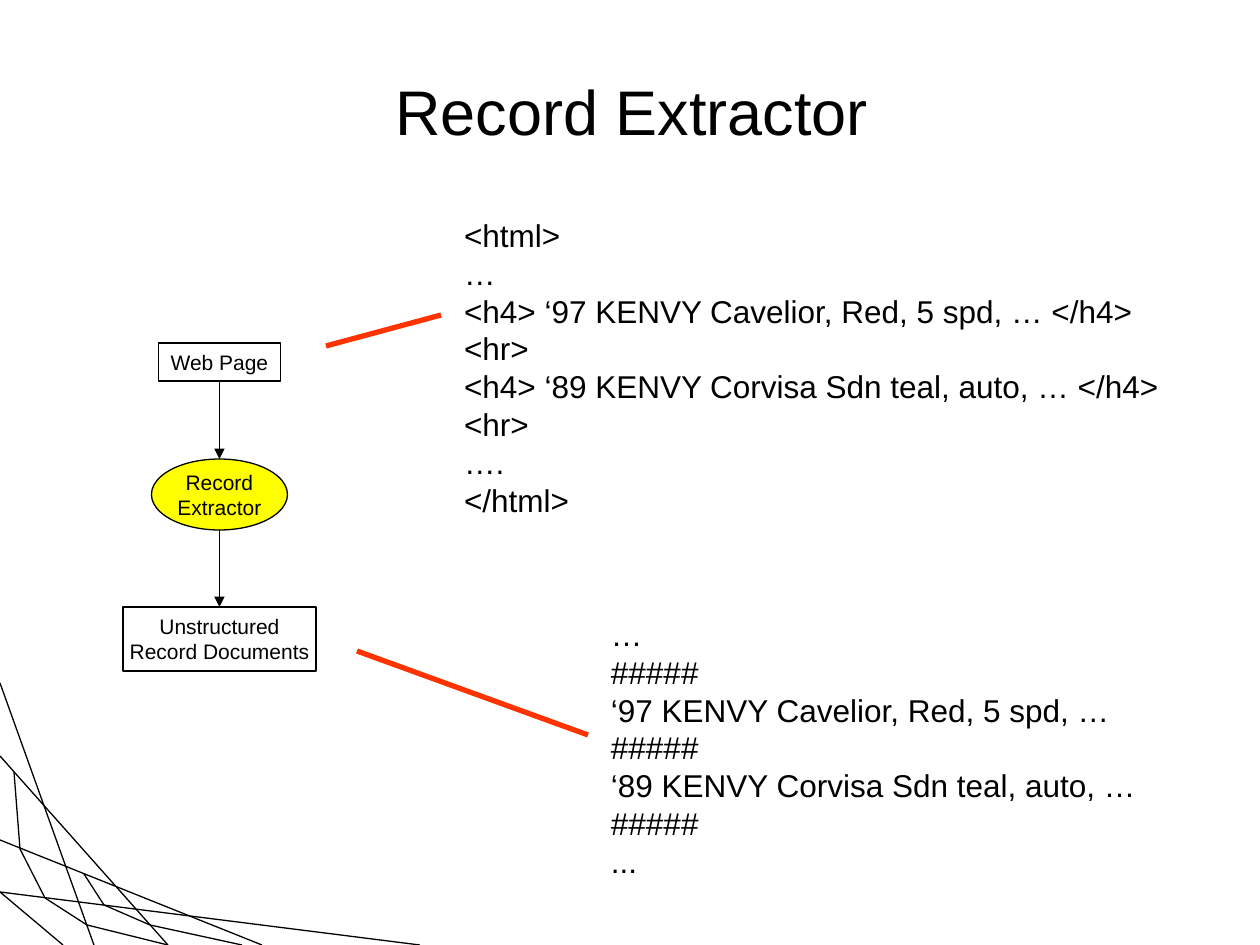
from itertools import pairwise

from lxml.etree import SubElement
from pptx import Presentation
from pptx.dml.color import RGBColor
from pptx.enum.shapes import MSO_CONNECTOR as Connector, MSO_SHAPE as Shape
from pptx.enum.text import MSO_ANCHOR as Anchor, PP_ALIGN as Align
from pptx.oxml.ns import qn
from pptx.util import Pt

EMU_PER_PX = 914400 / 126
BLACK, WHITE, YELLOW, RED = "000000", "FFFFFF", "FFFF00", "FF3300"

HTML_LINES = [
    "<html>",
    "…",
    "<h4> ‘97 KENVY Cavelior, Red, 5 spd, … </h4>",
    "<hr>",
    "<h4> ‘89 KENVY Corvisa Sdn teal, auto, … </h4>",
    "<hr>",
    "….",
    "</html>",
]
RECORD_LINES = [
    "…",
    "#####",
    "‘97 KENVY Cavelior, Red, 5 spd, …",
    "#####",
    "‘89 KENVY Corvisa Sdn teal, auto, …",
    "#####",
    "...",
]


def px(length):
    return round(length * EMU_PER_PX)


def colour(hex_text):
    return RGBColor.from_string(hex_text)


def set_all(target, values):
    for name, value in values.items():
        setattr(target, name, value)


def write(shape, lines, size, align=Align.LEFT, anchor=Anchor.TOP, wrap=False, inset=(12, 6)):
    """Fill a shape with one paragraph per line."""
    frame = shape.text_frame
    side, edge = map(px, inset)
    set_all(frame, {
        "word_wrap": wrap, "vertical_anchor": anchor,
        "margin_left": side, "margin_right": side,
        "margin_top": edge, "margin_bottom": edge,
    })
    for index, line in enumerate(lines):
        para = frame.add_paragraph() if index else frame.paragraphs[0]
        set_all(para, {"alignment": align, "line_spacing": Pt(size * 1.2)})
        span = para.add_run()
        span.text = line
        set_all(span.font, {"name": "Arial", "size": Pt(size)})
        span.font.color.rgb = colour(BLACK)


def add_line(page, start, end, ink=BLACK, width=0.75, arrow=False):
    line = page.shapes.add_connector(Connector.STRAIGHT, *map(px, (*start, *end)))
    line.line.color.rgb = colour(ink)
    line.line.width = Pt(width)
    if arrow:
        SubElement(line.line._get_or_add_ln(), qn("a:tailEnd"), type="triangle")
    SubElement(line._element.spPr, qn("a:effectLst"))


def add_text(page, box, lines, size, **layout):
    write(page.shapes.add_textbox(*map(px, box)), lines, size, **layout)


def add_corner_web(page, box):
    """Crossing strands in the lower left corner."""
    left, top, width, height = box
    strands = [
        [(0, 0), (94, height)],
        [(0, 73), (168, height)],
        [(0, 157), (262, height)],
        [(0, 209), (width, height)],
        [(0, 209), (63, height)],
        [(14, 89), (20, 166), (45, 215), (87, 242), (168, height)],
        [(84, 191), (104, 222), (150, 242), (242, height)],
    ]
    for strand in strands:
        points = [(left + x, top + y) for x, y in strand]
        for start, end in pairwise(points):
            add_line(page, start, end)


def add_flow(page, box):
    """Three steps, centred in a column and joined by arrows."""
    left, top, width, _ = box
    centre = left + width / 2
    steps = [
        (Shape.FLOWCHART_PROCESS, WHITE, ["Web Page"], 0, 122, 38, (6, 6)),
        (Shape.OVAL, YELLOW, ["Record", "Extractor"], 116, 136, 71, (0, 0)),
        (Shape.FLOWCHART_PROCESS, WHITE, ["Unstructured", "Record Documents"],
         264, 193, 64, (6, 6)),
    ]
    for kind, fill, lines, offset, wide, high, inset in steps:
        place = (centre - wide / 2, top + offset, wide, high)
        step = page.shapes.add_shape(kind, *map(px, place))
        step.shadow.inherit = False
        step.fill.solid()
        step.fill.fore_color.rgb = colour(fill)
        step.line.color.rgb = colour(BLACK)
        step.line.width = Pt(0.75)
        write(step, lines, 12, align=Align.CENTER, anchor=Anchor.MIDDLE, inset=inset)
    for upper, lower in pairwise(steps):
        add_line(page, (centre, top + upper[3] + upper[5]), (centre, top + lower[3]), arrow=True)


def main():
    deck = Presentation()
    set_all(deck, {"slide_width": px(1260), "slide_height": px(945)})
    page = deck.slides.add_slide(deck.slide_layouts[6])

    # Background strands and title
    add_corner_web(page, (0, 683, 420, 262))
    add_text(page, (105, 32, 1071, 157), ["Record Extractor "], 36,
             align=Align.CENTER, anchor=Anchor.MIDDLE, wrap=True)

    # Sample input and output
    add_text(page, (452, 210, 722, 315), HTML_LINES, 18)
    add_text(page, (599, 609, 552, 277), RECORD_LINES, 18)

    # Links from the flow to the samples
    add_line(page, (326, 346), (441, 315), RED, 3)
    add_line(page, (357, 651), (588, 735), RED, 3)

    # Process flow
    add_flow(page, (123, 343, 193, 328))

    deck.save("out.pptx")


if __name__ == "__main__":
    main()
